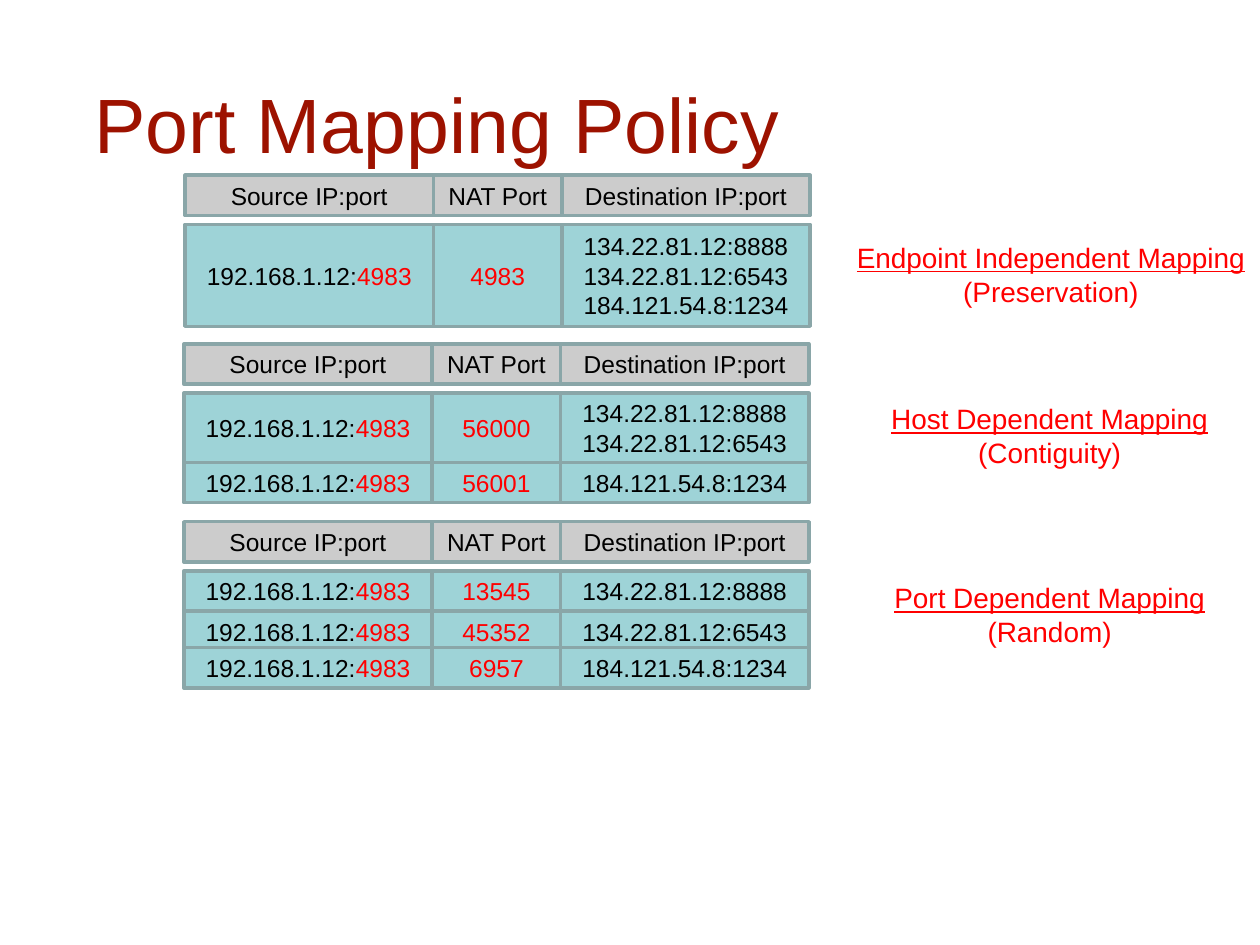
import dataclasses

import pptx
import pptx.dml.color
import pptx.enum.shapes
import pptx.enum.text
import pptx.util

Inches = pptx.util.Inches
Align = pptx.enum.text.PP_ALIGN
Anchor = pptx.enum.text.MSO_ANCHOR

FONT = "Arial"
BLACK, RED, TITLE = "000000", "FF0000", "9D1200"
GRAY, TEAL, EDGE = "CCCCCC", "9ED3D7", "8AA6A8"

HEADS = ["Source IP:port", "NAT Port", "Destination IP:port"]
WIDE, THIN = 1.97, 1.02
COLS = [(0, WIDE), (1.97, THIN), (2.99, WIDE)]  # offset and width
HIGH = 0.32  # height of a one-line row
STEP = 0.39  # from the header down to the first row
MID = 6.87  # from the left of a table to the centre of its label


@dataclasses.dataclass
class Run:
    text: str
    color: str = BLACK
    size: int = 14
    under: bool = False


@dataclasses.dataclass
class Row:
    drop: float  # below the first row's top
    high: float
    port: str
    dests: list[str]


@dataclasses.dataclass
class Policy:
    left: float
    top: float
    name: str
    kind: str
    wide: float  # width of the label
    drop: float  # label below the header's top
    rows: list[Row]


POLICIES = [
    Policy(1.47, 1.39, "Endpoint Independent Mapping", "(Preservation)", 3.32, 0.47, [
        Row(0, 0.81, "4983",
            ["134.22.81.12:8888", "134.22.81.12:6543", "184.121.54.8:1234"]),
    ]),
    Policy(1.46, 2.73, "Host Dependent Mapping", "(Contiguity)", 2.74, 0.41, [
        Row(0, 0.55, "56000", ["134.22.81.12:8888", "134.22.81.12:6543"]),
        Row(0.55, HIGH, "56001", ["184.121.54.8:1234"]),
    ]),
    Policy(1.46, 4.14, "Port Dependent Mapping", "(Random)", 2.69, 0.42, [
        Row(0, HIGH, "13545", ["134.22.81.12:8888"]),
        Row(0.32, HIGH, "45352", ["134.22.81.12:6543"]),
        Row(0.61, HIGH, "6957", ["184.121.54.8:1234"]),
    ]),
]


def rgb(code: str) -> pptx.dml.color.RGBColor:
    return pptx.dml.color.RGBColor.from_string(code)


def write(frame, lines: list[list[Run]], align=Align.CENTER) -> None:
    for i, line in enumerate(lines):
        para = frame.paragraphs[0] if i == 0 else frame.add_paragraph()
        para.alignment = align
        for part in line:
            run = para.add_run()
            run.text = part.text
            run.font.name = FONT
            run.font.size = pptx.util.Pt(part.size)
            run.font.color.rgb = rgb(part.color)
            run.font.underline = part.under


def cell(slide, left: float, top: float, wide: float, high: float,
         fill: str, lines: list[list[Run]]) -> None:
    box = slide.shapes.add_shape(
        pptx.enum.shapes.MSO_SHAPE.RECTANGLE,
        Inches(left), Inches(top), Inches(wide), Inches(high))
    box.shadow.inherit = False
    box.fill.solid()
    box.fill.fore_color.rgb = rgb(fill)
    box.line.color.rgb = rgb(EDGE)
    box.line.width = pptx.util.Pt(2)
    box.text_frame.vertical_anchor = Anchor.MIDDLE
    write(box.text_frame, lines)


def band(slide, left: float, top: float, high: float, fill: str,
         texts: list[list[list[Run]]]) -> None:
    for (off, wide), lines in zip(COLS, texts):
        cell(slide, left + off, top, wide, high, fill, lines)


def draw(slide, item: Policy) -> None:
    # Header and rows
    band(slide, item.left, item.top, HIGH, GRAY, [[[Run(head)]] for head in HEADS])
    for row in item.rows:
        band(slide, item.left, item.top + STEP + row.drop, row.high, TEAL, [
            [[Run("192.168.1.12:"), Run("4983", RED)]],
            [[Run(row.port, RED)]],
            [[Run(dest)] for dest in row.dests],
        ])

    # Label at the right
    label = slide.shapes.add_textbox(
        Inches(item.left + MID - item.wide / 2), Inches(item.top + item.drop),
        Inches(item.wide), Inches(0.64))
    label.text_frame.word_wrap = False
    write(label.text_frame, [[Run(item.name, RED, 16, True)], [Run(item.kind, RED, 16)]])


def main() -> None:
    deck = pptx.Presentation()
    deck.slide_width, deck.slide_height = Inches(10), Inches(7.5)
    slide = deck.slides.add_slide(deck.slide_layouts[6])

    # Title
    title = slide.shapes.add_textbox(Inches(0.75), Inches(0.6), Inches(8.5), Inches(0.74))
    frame = title.text_frame
    frame.word_wrap = True
    frame.vertical_anchor = Anchor.BOTTOM
    frame.margin_left = frame.margin_right = frame.margin_top = frame.margin_bottom = 0
    write(frame, [[Run("Port Mapping Policy", TITLE, 44)]], Align.LEFT)

    # Mapping tables
    for item in POLICIES:
        draw(slide, item)

    deck.save("out.pptx")


if __name__ == "__main__":
    main()
